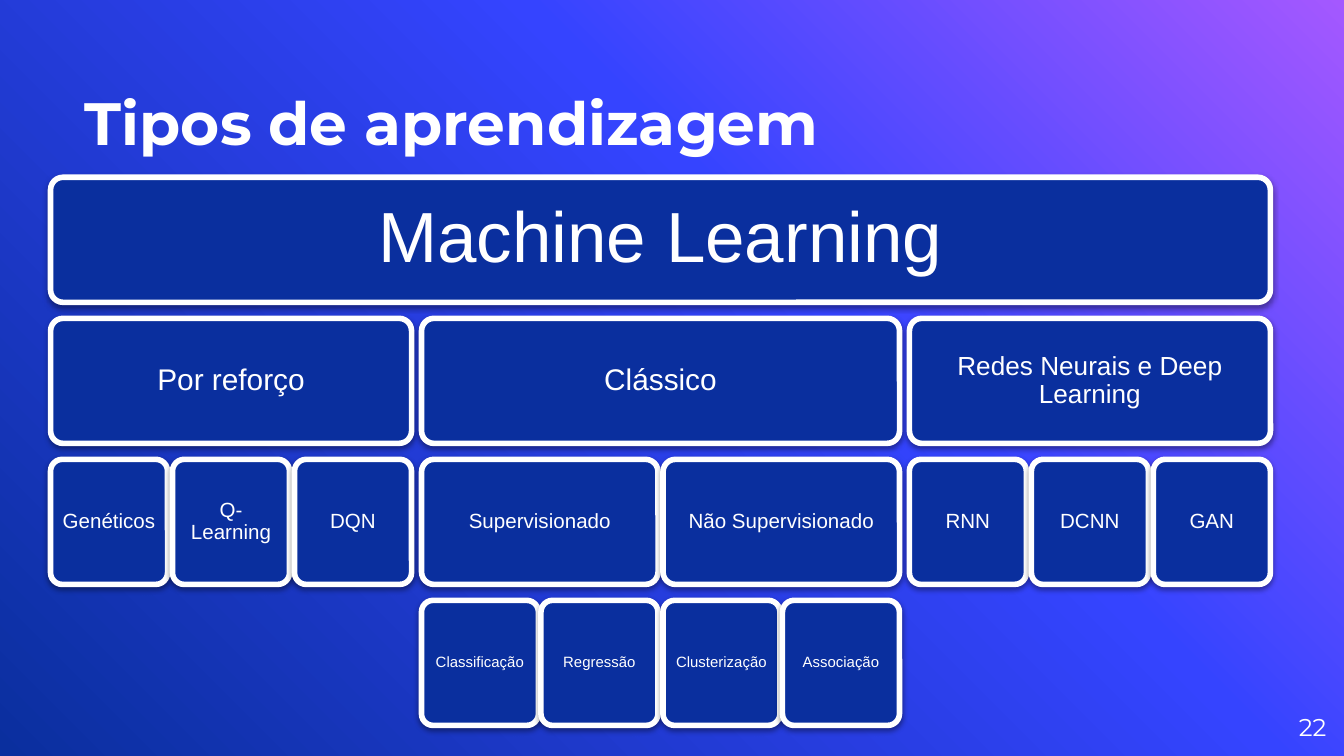
from pptx import Presentation
from pptx.dml.color import RGBColor as Rgb
from pptx.enum.shapes import MSO_SHAPE as Shape
from pptx.enum.text import MSO_ANCHOR as Anchor, PP_ALIGN as Align
from pptx.oxml import parse_xml
from pptx.oxml.ns import nsdecls, qn
from pptx.util import Pt

TITLE = "Tipos de aprendizagem"
PAGE = "22"
TREE = ("Machine Learning", 38, [
    ("Por reforço", 16, [
        ("Genéticos", 11, []),
        ("Q-Learning", 11, []),
        ("DQN", 11, []),
    ]),
    ("Clássico", 16, [
        ("Supervisionado", 11, [
            ("Classificação", 8, []),
            ("Regressão", 8, []),
        ]),
        ("Não Supervisionado", 11, [
            ("Clusterização", 8, []),
            ("Associação", 8, []),
        ]),
    ]),
    ("Redes Neurais e Deep Learning", 14, [
        ("RNN", 11, []),
        ("DCNN", 11, []),
        ("GAN", 11, []),
    ]),
])
COLORS = {"white": "FFFFFF", "navy": "0A2F9E", "blue": "3544FF",
          "violet": "A458FF", "black": "000000"}
STOPS = [(0, "violet"), (39, "blue"), (100, "navy")]
LEFT, TOP = 27.1, 95
LEAF, HIGH, STEP = 62.7, 67, 75.55
GAP = 5.3


def color(name):
    return Rgb.from_string(COLORS[name])


def paint(slide):
    fill = slide.background.fill
    fill.gradient()
    fill.gradient_angle = 225
    stops = slide.element.find(".//" + qn("a:gsLst"))
    for old in list(stops):
        stops.remove(old)
    for pos, name in STOPS:
        stops.append(parse_xml(
            f'<a:gs {nsdecls("a")} pos="{pos * 1000}">'
            f'<a:srgbClr val="{COLORS[name]}"/></a:gs>'))


def write(shape, text, size, face, align, anchor, inset=0, bold=False):
    frame = shape.text_frame
    frame.word_wrap = True
    frame.vertical_anchor = anchor
    frame.margin_left = frame.margin_right = Pt(inset)
    frame.margin_top = frame.margin_bottom = Pt(inset)
    para = frame.paragraphs[0]
    para.text = text
    para.alignment = align
    font = para.font
    font.name, font.size, font.bold = face, Pt(size), bold
    font.color.rgb = color("white")
    return para


def label(slide, box, *style, **more):
    write(slide.shapes.add_textbox(*map(Pt, box)), *style, **more)


def shade(shape):
    shape.shadow.inherit = False
    effects = shape.element.spPr.find(qn("a:effectLst"))
    effects.append(parse_xml(
        f'<a:outerShdw {nsdecls("a")} blurRad="{Pt(3.1)}" dist="{Pt(1.6)}" '
        f'dir="5400000" rotWithShape="0"><a:srgbClr val="{COLORS["black"]}">'
        '<a:alpha val="38000"/></a:srgbClr></a:outerShdw>'))


def width(node, gap):
    kids = node[2]
    if not kids:
        return LEAF
    return sum(width(kid, gap / 2) for kid in kids) + gap * (len(kids) - 1)


def draw(group, node, left, top, gap):
    text, size, kids = node
    card = group.shapes.add_shape(
        Shape.ROUNDED_RECTANGLE,
        Pt(left), Pt(top), Pt(width(node, gap)), Pt(HIGH))
    card.adjustments[0] = 0.1
    card.fill.solid()
    card.fill.fore_color.rgb = color("navy")
    card.line.color.rgb = color("white")
    card.line.width = Pt(3)
    shade(card)
    para = write(card, text, size, "Arial", Align.CENTER, Anchor.MIDDLE,
                 inset=0.3 * size)
    para.line_spacing = 0.9
    for kid in kids:
        draw(group, kid, left, top + STEP, gap / 2)
        left += width(kid, gap / 2) + gap


def main():
    deck = Presentation()
    deck.slide_width, deck.slide_height = Pt(720), Pt(405)
    slide = deck.slides.add_slide(deck.slide_layouts[6])
    paint(slide)
    label(slide, (45.4, 16.6, 473.8, 67.7), TITLE, 32, "Montserrat",
          Align.LEFT, Anchor.BOTTOM, bold=True)
    label(slide, (667.4, 373.7, 43.2, 31), PAGE, 13, "Montserrat",
          Align.RIGHT, Anchor.MIDDLE)
    draw(slide.shapes.add_group_shape(), TREE, LEFT, TOP, GAP)
    deck.save("out.pptx")


if __name__ == "__main__":
    main()
